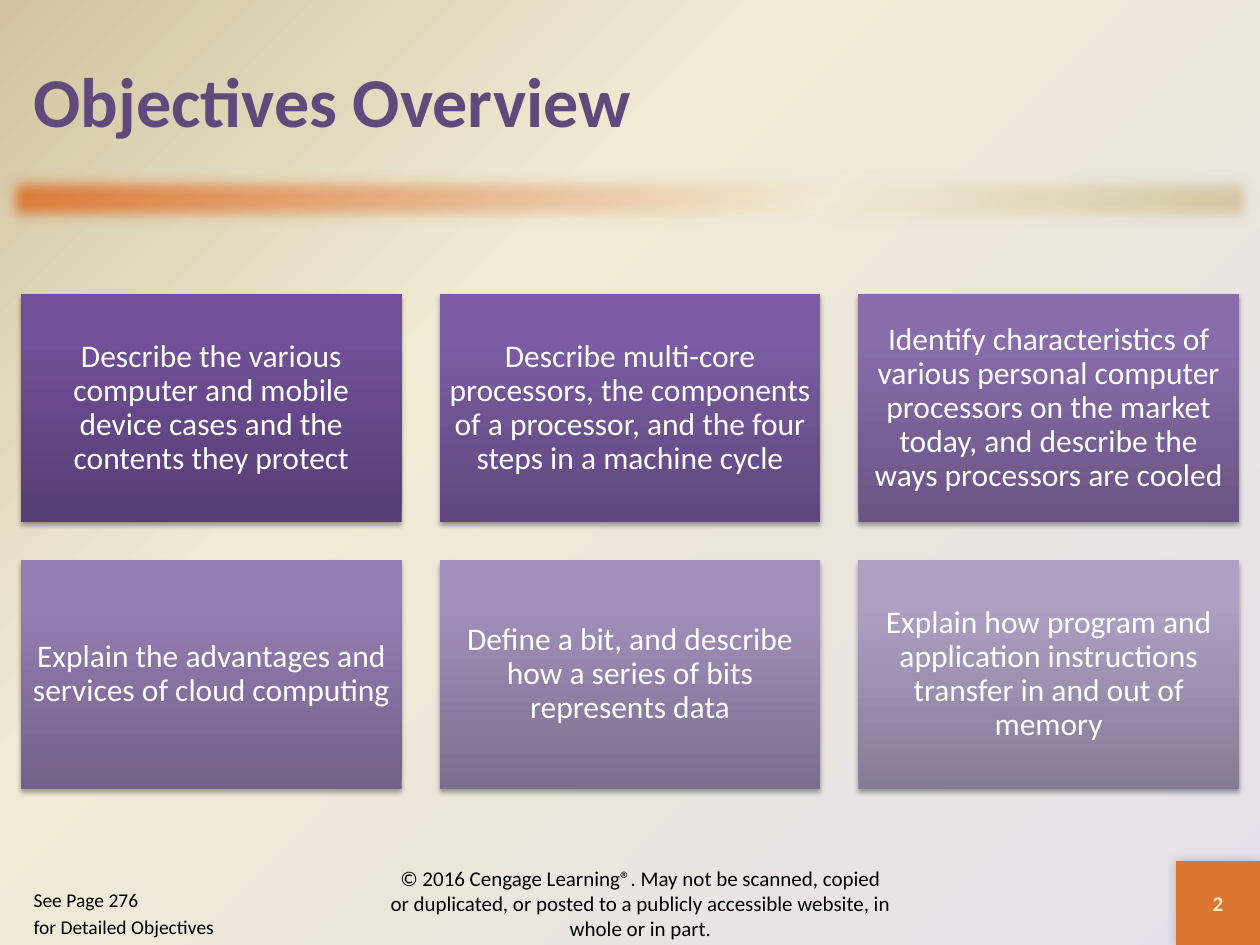
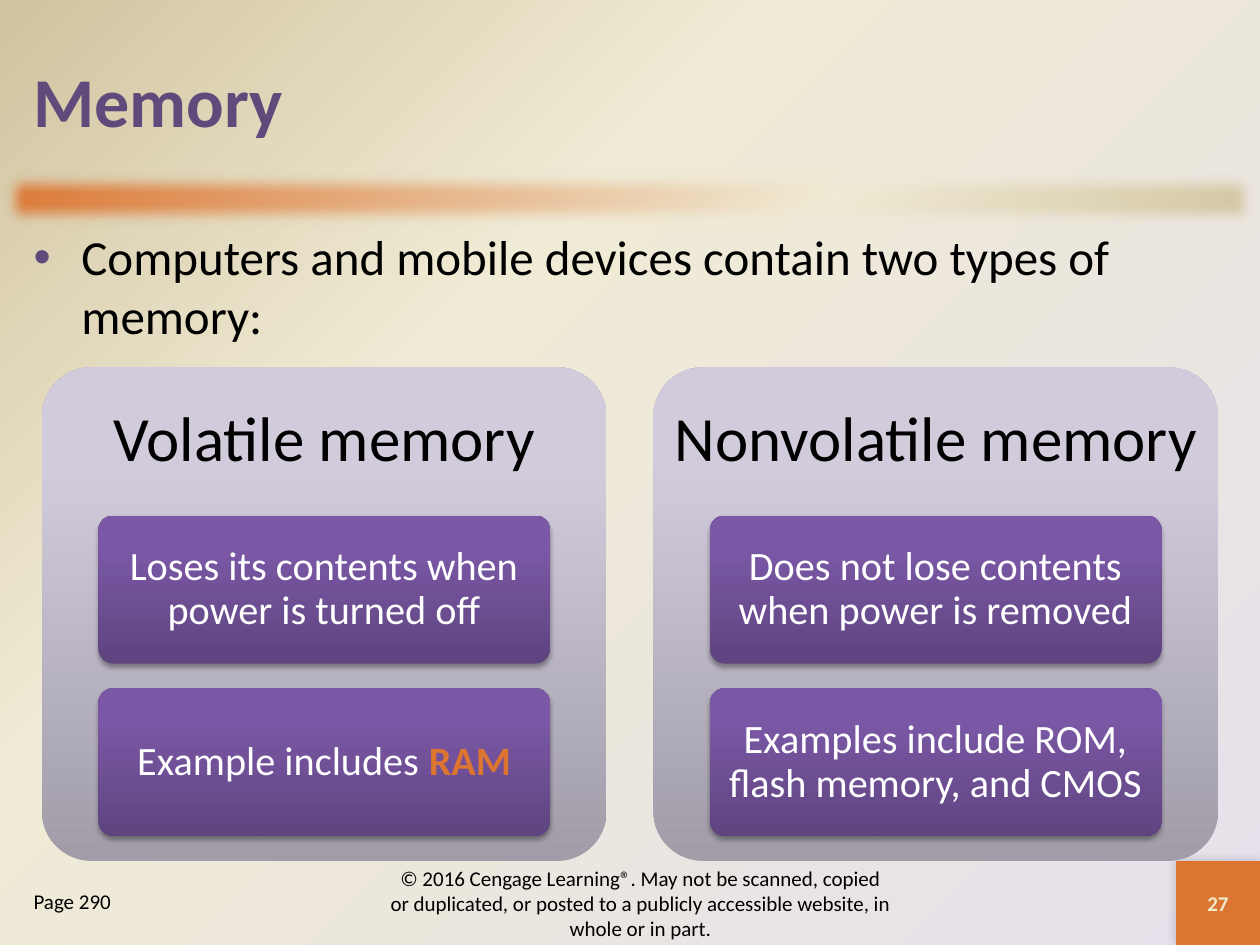
"""Build the objectives and memory slides."""
import dataclasses

import lxml.etree
import pptx
import pptx.dml.color
import pptx.enum.shapes
import pptx.enum.text
import pptx.oxml.ns
import pptx.util

FONT = "Calibri"
PURPLE, ORANGE, CREAM, TAN, LILAC = "604A7B", "DB7531", "F0EBD5", "D1C39F", "E6E0EC"
BLACK, WHITE, NUMBER_COLOUR = "000000", "FFFFFF", "EEEBCA"
UPWARD = 270
CARD_SHADOW = (35, 3.1, 1.8, 90)
NUMBER_SHADOW = (20, 6, 0, 225)
PANEL_SHADES = ("A19CA8", "D1CBDB", "D2CBDC")
FACT_SHADES = ("5F4480", "7B58A6", "7C57A8")
COPYRIGHT = ("© 2016 Cengage Learning®. May not be scanned, copied or duplicated, "
             "or posted to a publicly accessible website, in whole or in part.")
OBJECTIVES = [
    ("Describe the various computer and mobile device cases and the contents they protect",
     ("563D74", "705097", "704F99")),
    ("Describe multi-core processors, the components of a processor, "
     "and the four steps in a machine cycle", ("5F477D", "7B5CA3", "7C5BA5")),
    ("Identify characteristics of various personal computer processors on the market today, "
     "and describe the ways processors are cooled", ("695483", "886DAA", "886DAC")),
    ("Explain the advantages and services of cloud computing",
     ("726189", "947EB2", "957EB4")),
    ("Define a bit, and describe how a series of bits represents data",
     ("7C6E8F", "A18FBA", "A18FBC")),
    ("Explain how program and application instructions transfer in and out of memory",
     ("867B96", "AE9FC3", "AE9FC4")),
]
MEMORY_TYPES = [
    ("Volatile memory", [["Loses its contents when power is turned off"],
                         ["Example includes ", "RAM"]]),
    ("Nonvolatile memory", [["Does not lose contents when power is removed"],
                            ["Examples include ROM, flash memory, and CMOS"]]),
]
ALIGN = pptx.enum.text.PP_ALIGN
ANCHOR = pptx.enum.text.MSO_ANCHOR
SHAPE = pptx.enum.shapes.MSO_SHAPE


@dataclasses.dataclass
class Box:
    """A rectangle in inches."""
    left: float
    top: float
    width: float
    height: float

    def inner(self, left, top, width, height):
        """Return a box given as shares of this one."""
        return Box(self.left + left * self.width, self.top + top * self.height,
                   width * self.width, height * self.height)

    def lengths(self):
        """Return the four lengths for python-pptx."""
        return [pptx.util.Inches(length) for length in dataclasses.astuple(self)]


SLIDE = Box(0, 0, 10, 7.5)


def grid(column, row, columns, rows):
    """Return a box on the slide's grid of 60 columns and 45 rows."""
    return SLIDE.inner(column / 60, row / 45, columns / 60, rows / 45)


def colour(code):
    """Turn a hex string into a colour."""
    return pptx.dml.color.RGBColor.from_string(code)


def child(parent, tag, **attributes):
    """Append a drawing element with its attributes."""
    return lxml.etree.SubElement(parent, pptx.oxml.ns.qn(tag),
                                 {key: str(value) for key, value in attributes.items()})


def fill_gradient(fill, holder, stops, angle=None):
    """Fill with (position, colour) stops, along an angle or from the far corner."""
    fill.gradient()
    gradient = holder.find(pptx.oxml.ns.qn("a:gradFill"))
    for default in list(gradient):
        gradient.remove(default)
    stop_list = child(gradient, "a:gsLst")
    for position, code in stops:
        child(child(stop_list, "a:gs", pos=position * 1000), "a:srgbClr", val=code)
    if angle is None:
        corner = child(gradient, "a:path", path="circle")
        child(corner, "a:fillToRect", l=100000, t=100000)
    else:
        child(gradient, "a:lin", ang=angle * 60000, scaled=0)


def effects_of(block):
    """Return the effect list of a shape."""
    return block._element.spPr.find(pptx.oxml.ns.qn("a:effectLst"))


def add_block(slide, box, kind=SHAPE.RECTANGLE, shades=None, shadow=None):
    """Add a borderless shape, with upward shades and a shadow if given."""
    block = slide.shapes.add_shape(kind, *box.lengths())
    block.shadow.inherit = False
    block.line.fill.background()
    if kind == SHAPE.ROUNDED_RECTANGLE:
        block.adjustments[0] = 0.1
    if shades:
        fill_gradient(block.fill, block._element.spPr, zip((0, 80, 100), shades), UPWARD)
    if shadow:
        alpha, blur, distance, direction = shadow
        cast = child(effects_of(block), "a:outerShdw", blurRad=pptx.util.Pt(blur),
                     dist=pptx.util.Pt(distance), dir=direction * 60000, rotWithShape=0)
        child(child(cast, "a:srgbClr", val=BLACK), "a:alpha", val=alpha * 1000)
    return block


def style(paragraph, size, code, bold=False, align=ALIGN.CENTER, spacing=None):
    """Format a paragraph and its runs."""
    paragraph.alignment = align
    paragraph.line_spacing = spacing
    for run in paragraph.runs:
        run.font.name, run.font.size, run.font.bold = FONT, pptx.util.Pt(size), bold
        run.font.color.rgb = colour(code)


def set_frame(frame, anchor=ANCHOR.MIDDLE, margins=(0.1, 0.05)):
    """Make a text frame wrap, with its anchor and side and end margins."""
    frame.word_wrap = True
    frame.auto_size = pptx.enum.text.MSO_AUTO_SIZE.NONE
    frame.vertical_anchor = anchor
    frame.margin_left = frame.margin_right = pptx.util.Inches(margins[0])
    frame.margin_top = frame.margin_bottom = pptx.util.Inches(margins[1])


def write(shape, text, size, code, bold=False, spacing=None, margins=(0.1, 0.05)):
    """Write one centred paragraph in a shape and return it."""
    set_frame(shape.text_frame, margins=margins)
    paragraph = shape.text_frame.paragraphs[0]
    paragraph.text = text
    style(paragraph, size, code, bold, spacing=spacing)
    return paragraph


def place(placeholder, box):
    """Move a placeholder to a box."""
    placeholder.left, placeholder.top, placeholder.width, placeholder.height = box.lengths()


def add_title(slide, text):
    """Fill the title placeholder."""
    title = slide.shapes.title
    place(title, grid(1, 1, 58, 7.5))
    write(title, text, 40, PURPLE, bold=True).alignment = ALIGN.LEFT


def fill_list(placeholder, box, lines, size, bullet=None):
    """Fill a body placeholder with lines, bulleted or plain."""
    place(placeholder, box)
    frame = placeholder.text_frame
    set_frame(frame, ANCHOR.TOP)
    frame.text = "\n".join(lines)
    for index, paragraph in enumerate(frame.paragraphs):
        properties = paragraph._p.get_or_add_pPr()
        indent = pptx.util.Inches(0.38) if bullet else 0
        properties.set("marL", str(indent))
        properties.set("indent", str(-indent))
        if bullet:
            child(child(properties, "a:buClr"), "a:srgbClr", val=PURPLE)
            child(properties, "a:buChar", char=bullet)
        else:
            child(properties, "a:buNone")
        paragraph.space_before = pptx.util.Pt(0.2 * size if index else 0)
        style(paragraph, size, BLACK, align=ALIGN.LEFT)


def add_band(slide, box):
    """Add the soft-edged band under the title."""
    band = add_block(slide, box)
    fill_gradient(band.fill, band._element.spPr,
                  [(0, ORANGE), (65, CREAM), (100, TAN)], 45)
    child(effects_of(band), "a:softEdge", rad=112500)


def add_footer(slide, number):
    """Add the copyright line and the slide number square."""
    copyright_line = slide.shapes.add_textbox(*grid(18, 41.5, 25, 3).lengths())
    write(copyright_line, COPYRIGHT, 12, BLACK)
    square = add_block(slide, grid(56, 41, 4, 4), shadow=NUMBER_SHADOW)
    square.fill.solid()
    square.fill.fore_color.rgb = colour(ORANGE)
    write(square, number, 12, NUMBER_COLOUR, bold=True)


def add_base(presentation, layout, title, number, note, note_size):
    """Add a slide with its title, band, footer and page note."""
    slide = presentation.slides.add_slide(presentation.slide_layouts[layout])
    add_band(slide, grid(0, 8, 60, 3))
    add_title(slide, title)
    fill_list(slide.placeholders[len(slide.placeholders) - 1], grid(1, 42, 11, 3),
              note, note_size)
    add_footer(slide, number)
    return slide


def add_objective_cards(slide, box, columns=3):
    """Lay the objectives out as cards, with gaps a tenth of a card wide."""
    width = box.width / (columns + 0.1 * (columns - 1))
    for index, (objective, shades) in enumerate(OBJECTIVES):
        row, column = divmod(index, columns)
        card = add_block(slide, Box(box.left + 1.1 * width * column,
                                    box.top + 0.7 * width * row, width, 0.6 * width),
                         shades=shades, shadow=CARD_SHADOW)
        write(card, objective, 18, WHITE, spacing=0.9, margins=(0.07, 0.07))


def add_memory_panel(slide, box, heading, facts):
    """Add one type of memory: a panel, its heading and its facts."""
    add_block(slide, box, SHAPE.ROUNDED_RECTANGLE, PANEL_SHADES)
    heading_box = slide.shapes.add_textbox(*box.inner(0, 0, 1, 0.3).lengths())
    write(heading_box, heading, 36, BLACK, spacing=0.9, margins=(0.15, 0.15))
    for index, (fact, *terms) in enumerate(facts):
        card = add_block(slide, box.inner(0.1, 0.3 + 0.35 * index, 0.8, 0.3),
                         SHAPE.ROUNDED_RECTANGLE, FACT_SHADES, CARD_SHADOW)
        paragraph = write(card, fact, 23, WHITE, spacing=0.9, margins=(0.06, 0.05))
        for term in terms:
            run = paragraph.add_run()
            run.text = term
            style(paragraph, 23, WHITE, spacing=0.9)
            run.font.bold = True
            run.font.color.rgb = colour(ORANGE)


def build_objectives(presentation):
    """Build the objectives slide."""
    slide = add_base(presentation, 1, "Objectives Overview", "2",
                     ["See Page 276", "for Detailed Objectives"], 11.1)
    add_objective_cards(slide, grid(1, 14, 58, 23.5))


def build_memory(presentation):
    """Build the memory types slide."""
    slide = add_base(presentation, 3, "Memory", "27", ["Page 290"], 12)
    fill_list(slide.placeholders[1], grid(1, 10.5, 58, 30.5),
              ["Computers and mobile devices contain two types of memory:"], 28, "•")
    diagram = grid(2, 17.5, 56, 23.5)
    gap = 0.04
    share = (1 - gap) / 2
    for index, (heading, facts) in enumerate(MEMORY_TYPES):
        add_memory_panel(slide, diagram.inner((share + gap) * index, 0, share, 1),
                         heading, facts)


def main():
    """Build and save the presentation."""
    presentation = pptx.Presentation()
    presentation.slide_width = pptx.util.Inches(SLIDE.width)
    presentation.slide_height = pptx.util.Inches(SLIDE.height)
    master = presentation.slide_master
    fill = master.background.fill
    backdrop = master._element.find(".//" + pptx.oxml.ns.qn("p:bgPr"))
    fill_gradient(fill, backdrop, [(0, LILAC), (65, CREAM), (100, TAN)])
    build_objectives(presentation)
    build_memory(presentation)
    presentation.save("out.pptx")


if __name__ == "__main__":
    main()
